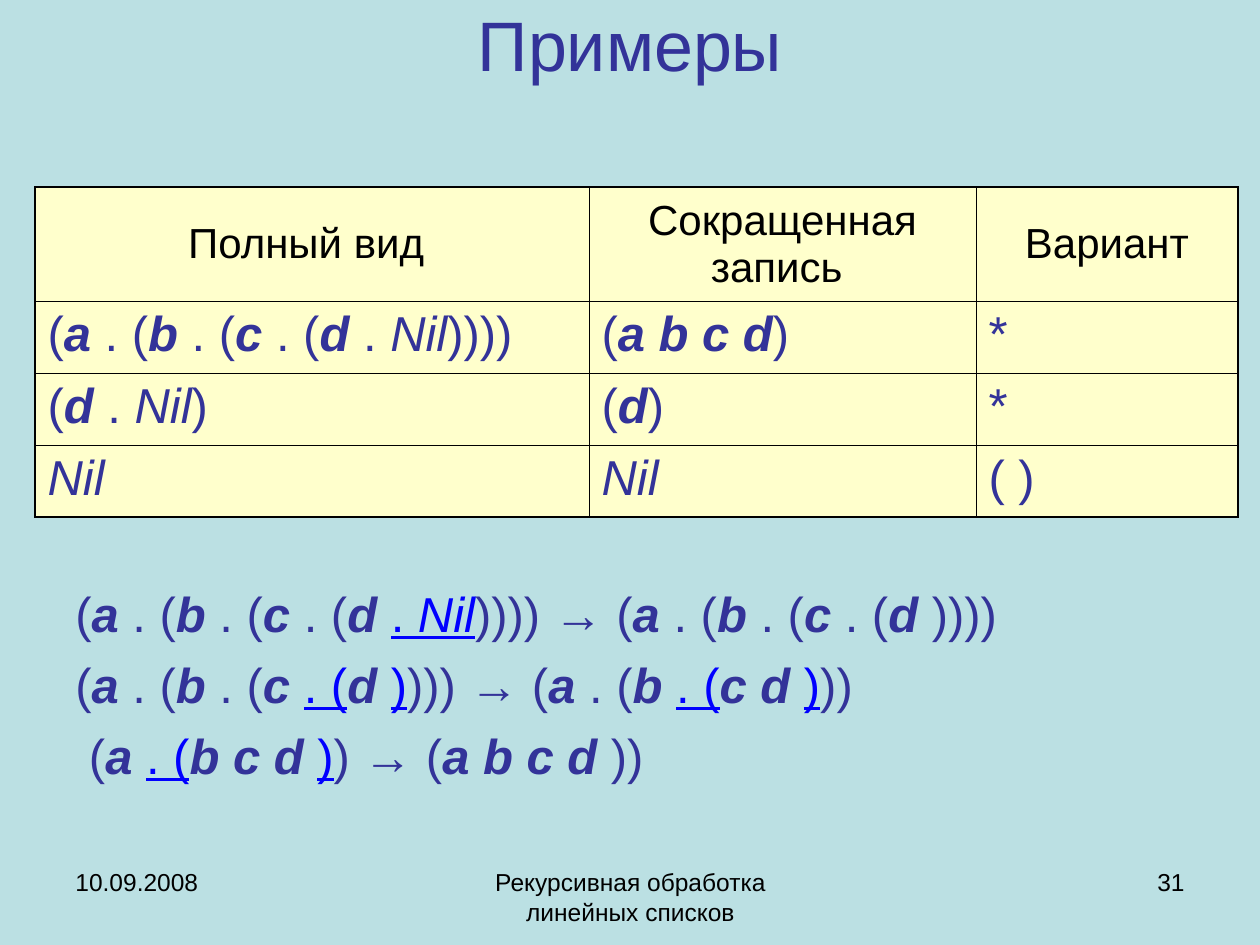
from lxml.etree import SubElement
from pptx import Presentation
from pptx.dml.color import RGBColor
from pptx.enum.text import MSO_ANCHOR, MSO_AUTO_SIZE, PP_ALIGN
from pptx.oxml.ns import qn
from pptx.util import Emu, Pt

SCALE = 914400 / 126
COLORS = {"back": "BBE0E3", "main": "333399", "mark": "0000FF", "cell": "FFFFCC", "black": "000000"}


def px(*lengths):
    return [Emu(round(length * SCALE)) for length in lengths]


def write(para, text, size, color, align=PP_ALIGN.LEFT):
    # "|" separates spans, "_" opens a marked one
    para.alignment = align
    para.font.name = "Arial"
    para.font.size = Pt(size)
    para.font.color.rgb = RGBColor.from_string(COLORS[color])
    for piece in text.split("|"):
        span = para.add_run()
        span.text = piece.lstrip("_")
        if span.text[0] in "abcd":
            span.font.bold = span.font.italic = True
        elif span.text == "Nil":
            span.font.italic = True
        if piece.startswith("_"):
            span.font.underline = True
            span.font.color.rgb = RGBColor.from_string(COLORS["mark"])


deck = Presentation()
deck.slide_width, deck.slide_height = px(1260, 945)
page = deck.slides.add_slide(deck.slide_layouts[5])
page.background.fill.solid()
page.background.fill.fore_color.rgb = RGBColor.from_string(COLORS["back"])

title = page.shapes.title
title.left, title.top, title.width, title.height = px(63, 0, 1134, 88)
title.text_frame.auto_size = MSO_AUTO_SIZE.NONE
title.text_frame.vertical_anchor = MSO_ANCHOR.MIDDLE
write(title.text_frame.paragraphs[0], "Примеры", 40, "main", PP_ALIGN.CENTER)

reductions = [
    "(|a |. (|b |. (|c |. (|d |_. |_Nil|)))) → (|a |. (|b |. (|c |. (|d |))))",
    "(|a |. (|b |. (|c |_. (|d |_)|))) → (|a |. (|b |_. (|c d |_)|))",
    " (|a |_. (|b c d |_)|) → (|a b c d |))",
]
box = page.shapes.add_textbox(*px(63, 577, 1148, 267))
box.text_frame.word_wrap = True
for index, reduction in enumerate(reductions):
    para = box.text_frame.add_paragraph() if index else box.text_frame.paragraphs[0]
    if index:
        para.space_before = Pt(7)
    write(para, reduction, 28, "main")

rows = [
    ["Полный вид ", "Сокращенная запись ", "Вариант"],
    ["(|a |. (|b |. (|c |. (|d |. |Nil|))))", "(|a b c d|)", "*"],
    ["(|d |. |Nil|)", "(|d|)", "*"],
    ["Nil", "Nil", "( )"],
]
widths = [554, 387, 262]
heights = [114, 72, 72, 72]
table = page.shapes.add_table(
    len(rows), len(widths), *px(35, 187, sum(widths), sum(heights))
).table
table.first_row = table.horz_banding = False
for column, width in zip(table.columns, px(*widths)):
    column.width = width
for line, height in zip(table.rows, px(*heights)):
    line.height = height

for r, texts in enumerate(rows):
    for c, text in enumerate(texts):
        cell = table.cell(r, c)
        outer = {
            "a:lnL": c == 0,
            "a:lnR": c == len(widths) - 1,
            "a:lnT": r == 0,
            "a:lnB": r == len(rows) - 1,
        }
        for tag, on_edge in outer.items():
            border = SubElement(cell._tc.get_or_add_tcPr(), qn(tag), w=str(Pt(1.08 if on_edge else 0.45)))
            SubElement(SubElement(border, qn("a:solidFill")), qn("a:srgbClr"), val=COLORS["black"])
        cell.fill.solid()
        cell.fill.fore_color.rgb = RGBColor.from_string(COLORS["cell"])
        para = cell.text_frame.paragraphs[0]
        if r == 0:
            cell.vertical_anchor = MSO_ANCHOR.MIDDLE
            write(para, text, 24, "black", PP_ALIGN.CENTER)
        else:
            write(para, text, 28, "main")

footers = [
    (431, 399, "Рекурсивная обработка линейных списков", PP_ALIGN.CENTER),
    (903, 294, "31", PP_ALIGN.RIGHT),
    (63, 294, "10.09.2008", PP_ALIGN.LEFT),
]
for left, width, text, align in footers:
    box = page.shapes.add_textbox(*px(left, 861, width, 66))
    box.text_frame.word_wrap = True
    write(box.text_frame.paragraphs[0], text, 14, "black", align)

deck.save("out.pptx")
